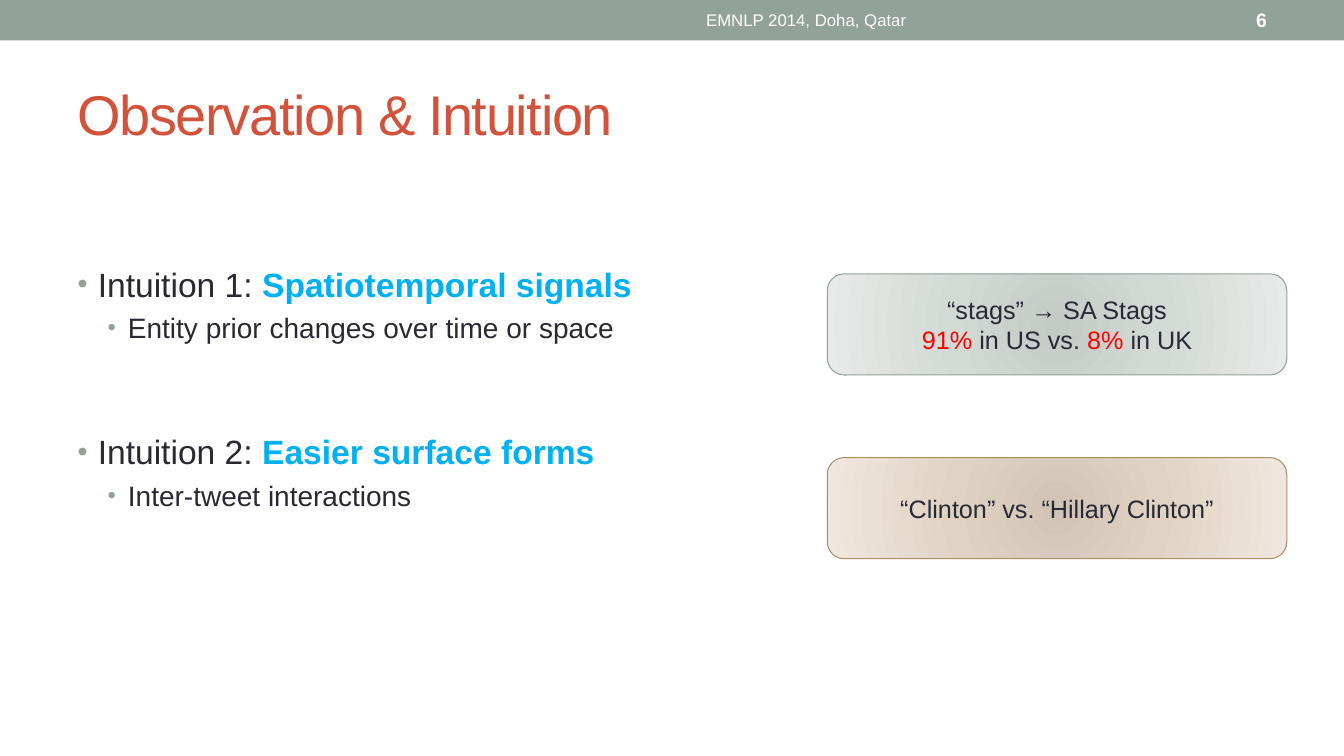
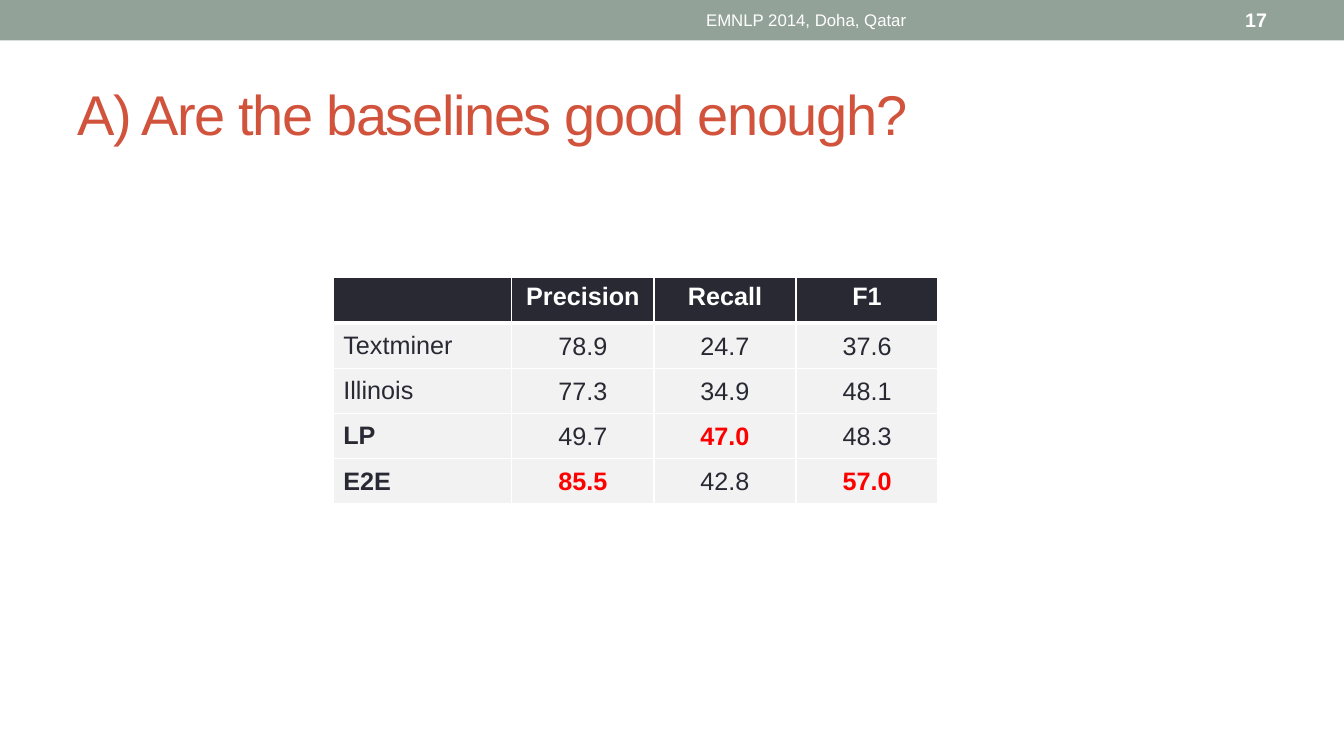
"""Build two talk slides: the intuitions and the baseline comparison."""
from lxml import etree
from pptx import Presentation
from pptx.dml.color import RGBColor
from pptx.enum.shapes import MSO_SHAPE
from pptx.enum.text import MSO_ANCHOR, MSO_AUTO_SIZE, PP_ALIGN
from pptx.oxml import parse_xml
from pptx.oxml.ns import nsdecls, qn
from pptx.util import Cm, Pt

RECTANGLE, ROUNDED = MSO_SHAPE.RECTANGLE, MSO_SHAPE.ROUNDED_RECTANGLE
TOP, MIDDLE = MSO_ANCHOR.TOP, MSO_ANCHOR.MIDDLE
LEFT, CENTER, RIGHT = PP_ALIGN.LEFT, PP_ALIGN.CENTER, PP_ALIGN.RIGHT
NO_FIT = MSO_AUTO_SIZE.NONE

WHITE = RGBColor(0xFF, 0xFF, 0xFF)
DARK = RGBColor(0x29, 0x29, 0x34)
SAGE = RGBColor(0x93, 0xA2, 0x99)
TAN = RGBColor(0xAD, 0x8F, 0x67)
RUST = RGBColor(0xD2, 0x53, 0x3C)
BLUE = RGBColor(0x00, 0xB0, 0xF0)
RED = RGBColor(0xFF, 0x00, 0x00)
PALE = RGBColor(0xF2, 0xF2, 0xF2)
SAGE_STOPS = (RGBColor(0xC4, 0xCA, 0xC6), RGBColor(0xD3, 0xDA, 0xD6), RGBColor(0xE7, 0xEA, 0xE8))
TAN_STOPS = (RGBColor(0xD1, 0xC4, 0xB6), RGBColor(0xE1, 0xD3, 0xC4), RGBColor(0xEF, 0xE7, 0xDF))

FONT = "Arial"
FOOTER = "EMNLP 2014, Doha, Qatar"
SLIDE_WIDTH, SLIDE_HEIGHT = Cm(33.87), Cm(19.05)
BAND_HEIGHT = Cm(1.02)
TITLE_BOX = Cm(1.7), Cm(1.47), Cm(30.48), Cm(2.74)
BODY_BOX = Cm(1.7), Cm(6.51), Cm(18.5), Cm(7.5)
CALLOUT_BOX = Cm(20.85), Cm(6.9), Cm(11.58), Cm(2.55)
CALLOUT_PITCH = Cm(4.63)
TABLE_BOX = Cm(8.4), Cm(7), Cm(15.24), Cm(5.7)
LABEL_WIDTH = Cm(4.5)

INTUITIONS = [
    ("Intuition 1: ", "Spatiotemporal signals", "Entity prior changes over time or space"),
    ("Intuition 2: ", "Easier surface forms", "Inter-tweet interactions"),
]
CALLOUTS = [
    (SAGE, SAGE_STOPS, [
        [("“stags” → SA Stags", {})],
        [("91% ", {"color": RED}), ("in US vs. ", {}), ("8%", {"color": RED}), (" in UK", {})],
    ]),
    (TAN, TAN_STOPS, [[("“Clinton” vs. “Hillary Clinton”", {})]]),
]
SCORES = [
    ("", "Precision", "Recall", "F1"),
    ("Textminer", "78.9", "24.7", "37.6"),
    ("Illinois", "77.3", "34.9", "48.1"),
    ("LP", "49.7", "47.0", "48.3"),
    ("E2E", "85.5", "42.8", "57.0"),
]
OWN_SYSTEMS = {"LP", "E2E"}
BEST_SCORES = {"85.5", "47.0", "57.0"}


def write(paragraph, text, size=18, color=DARK, bold=False, align=LEFT, spacing=None):
    """Append a formatted run to a paragraph."""
    paragraph.alignment = align
    run = paragraph.add_run()
    run.text = text
    run.font.name = FONT
    run.font.size = Pt(size)
    run.font.bold = bold
    run.font.color.rgb = color
    if spacing is not None:
        run._r.get_or_add_rPr().set("spc", str(spacing))


def place(shape, box):
    """Move a shape into a box."""
    shape.left, shape.top, shape.width, shape.height = box


def set_bullet(paragraph, margin):
    """Give a paragraph a small sage bullet that hangs left of the margin."""
    properties = paragraph._p.get_or_add_pPr()
    properties.set("marL", str(margin))
    properties.set("indent", str(-Cm(0.51)))
    color = etree.SubElement(properties, qn("a:buClr"))
    etree.SubElement(color, qn("a:srgbClr"), val=str(SAGE))
    etree.SubElement(properties, qn("a:buSzPct"), val="85000")
    etree.SubElement(properties, qn("a:buFont"), typeface=FONT)
    etree.SubElement(properties, qn("a:buChar"), char="•")


def set_radial_fill(shape, colors):
    """Fill a shape with a circular gradient of three colours."""
    stops = "".join(
        f'<a:gs pos="{position}"><a:srgbClr val="{color}"/></a:gs>'
        for position, color in zip((0, 45000, 100000), colors)
    )
    shape.fill.gradient()
    old_fill = shape._element.spPr.find(qn("a:gradFill"))
    new_fill = parse_xml(
        f'<a:gradFill {nsdecls("a")} rotWithShape="1"><a:gsLst>{stops}</a:gsLst><a:path path="circle">'
        '<a:fillToRect l="100000" t="100000" r="100000" b="100000"/></a:path></a:gradFill>'
    )
    old_fill.getparent().replace(old_fill, new_fill)


def set_borders(cell, bottom):
    """Draw white lines round a cell, with a given bottom width in points."""
    properties = cell._tc.get_or_add_tcPr()
    for index, (side, width) in enumerate((("L", 1), ("R", 1), ("T", 1), ("B", bottom))):
        properties.insert(index, parse_xml(
            f'<a:ln{side} {nsdecls("a")} w="{Pt(width)}"><a:solidFill>'
            f'<a:srgbClr val="{WHITE}"/></a:solidFill></a:ln{side}>'
        ))


def add_band_text(slide, left, width, text, **style):
    """Add white text inside the top band."""
    box = slide.shapes.add_textbox(left, Cm(0.05), width, Cm(0.91))
    frame = box.text_frame
    frame.word_wrap = True
    frame.vertical_anchor = MIDDLE
    write(frame.paragraphs[0], text, color=WHITE, **style)


def add_slide(presentation, layout_index, title, number):
    """Add a slide with the shared band, footer, number and title."""
    slide = presentation.slides.add_slide(presentation.slide_layouts[layout_index])
    band = slide.shapes.add_shape(RECTANGLE, 0, 0, SLIDE_WIDTH, BAND_HEIGHT)
    band.shadow.inherit = False
    band.fill.solid()
    band.fill.fore_color.rgb = SAGE
    band.line.fill.background()
    add_band_text(slide, Cm(12.7), Cm(15.24), FOOTER, size=12, align=CENTER)
    add_band_text(slide, Cm(28.22), Cm(3.96), str(number), size=14, bold=True, align=RIGHT)
    heading = slide.shapes.title
    place(heading, TITLE_BOX)
    heading.text_frame.auto_size = NO_FIT
    heading.text_frame.vertical_anchor = MIDDLE
    write(heading.text_frame.paragraphs[0], title, size=40, color=RUST, spacing=-100)
    return slide


def add_intuitions(slide, box):
    """Fill the body placeholder with the two-level list."""
    body = slide.placeholders[1]
    place(body, box)
    frame = body.text_frame
    frame.auto_size = NO_FIT
    for index, (label, idea, detail) in enumerate(INTUITIONS):
        heading = frame.add_paragraph() if index else frame.paragraphs[0]
        heading.space_before = Pt(62 if index else 0)
        set_bullet(heading, Cm(0.51))
        write(heading, label, size=24)
        write(heading, idea, size=24, color=BLUE, bold=True)
        point = frame.add_paragraph()
        point.level = 1
        point.space_before = Pt(5)
        set_bullet(point, Cm(1.27))
        write(point, detail, size=20)


def add_callout(slide, box, line_color, stops, lines):
    """Add a rounded box with centred lines of text."""
    callout = slide.shapes.add_shape(ROUNDED, *box)
    callout.shadow.inherit = False
    set_radial_fill(callout, stops)
    callout.line.color.rgb = line_color
    callout.line.width = Pt(0.75)
    frame = callout.text_frame
    frame.word_wrap = True
    frame.vertical_anchor = MIDDLE
    frame.margin_left = frame.margin_right = frame.margin_top = frame.margin_bottom = 0
    for index, runs in enumerate(lines):
        paragraph = frame.add_paragraph() if index else frame.paragraphs[0]
        for text, style in runs:
            write(paragraph, text, align=CENTER, **style)


def add_score_table(slide, box):
    """Add the table of scores with the best values in red."""
    left, top, width, height = box
    table = slide.shapes.add_table(len(SCORES), len(SCORES[0]), left, top, width, height).table
    table.horz_banding = False
    score_width = (width - LABEL_WIDTH) // (len(SCORES[0]) - 1)
    for index, column in enumerate(table.columns):
        column.width = score_width if index else LABEL_WIDTH
    for row_index, values in enumerate(SCORES):
        for column_index, text in enumerate(values):
            cell = table.cell(row_index, column_index)
            is_header, is_best = row_index == 0, text in BEST_SCORES
            cell.fill.solid()
            cell.fill.fore_color.rgb = DARK if is_header else PALE
            set_borders(cell, 3 if is_header else 1)
            cell.vertical_anchor = TOP if is_header else MIDDLE
            if row_index and column_index:
                cell.margin_left = cell.margin_right = cell.margin_top = Cm(0.03)
                cell.margin_bottom = 0
            if text:
                write(
                    cell.text_frame.paragraphs[0], text,
                    color=WHITE if is_header else RED if is_best else DARK,
                    bold=is_header or is_best or text in OWN_SYSTEMS,
                    align=CENTER if column_index else LEFT,
                )


def build_intuition_slide(presentation):
    """Build the slide with the list and its callouts."""
    slide = add_slide(presentation, 1, "Observation & Intuition", 6)
    add_intuitions(slide, BODY_BOX)
    left, top, width, height = CALLOUT_BOX
    for index, callout in enumerate(CALLOUTS):
        add_callout(slide, (left, top + index * CALLOUT_PITCH, width, height), *callout)


def build_baseline_slide(presentation):
    """Build the slide with the score table."""
    slide = add_slide(presentation, 5, "A) Are the baselines good enough?", 17)
    add_score_table(slide, TABLE_BOX)


def main():
    """Build and save the presentation."""
    presentation = Presentation()
    presentation.slide_width, presentation.slide_height = SLIDE_WIDTH, SLIDE_HEIGHT
    build_intuition_slide(presentation)
    build_baseline_slide(presentation)
    presentation.save("out.pptx")


if __name__ == "__main__":
    main()
